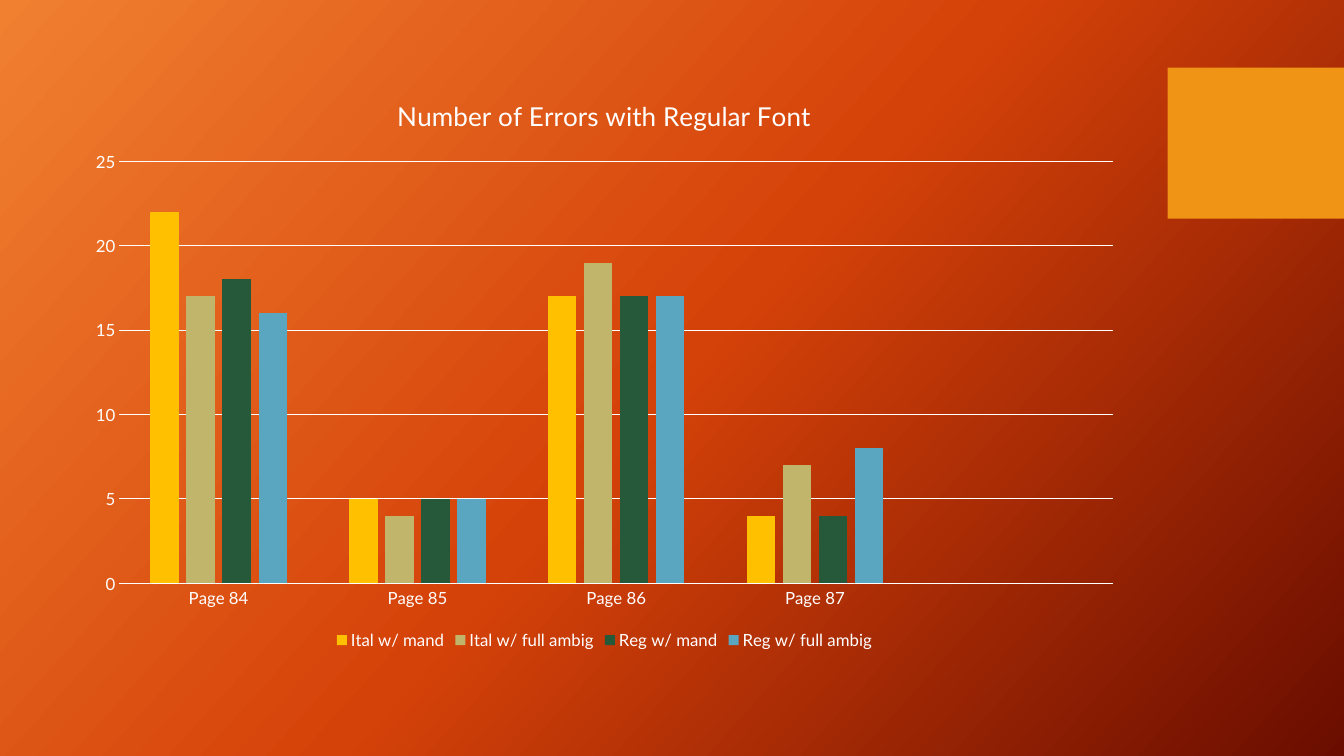
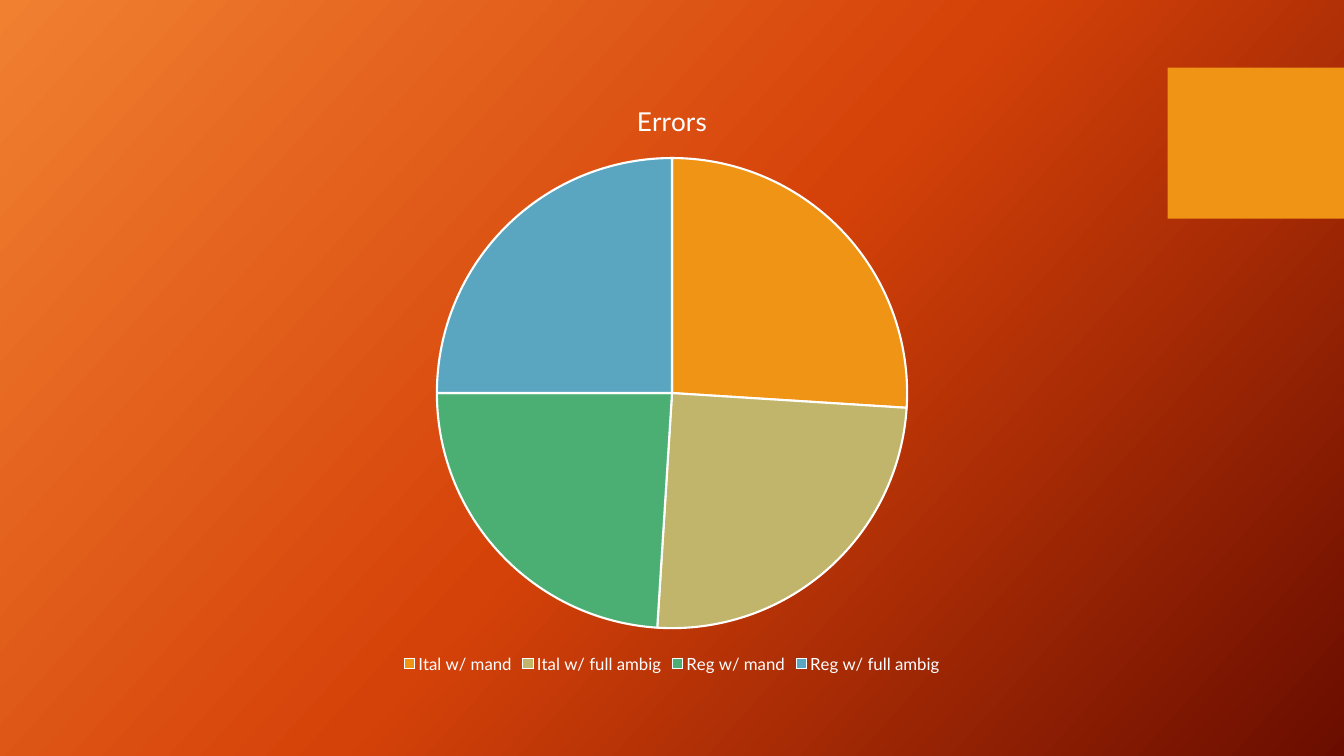
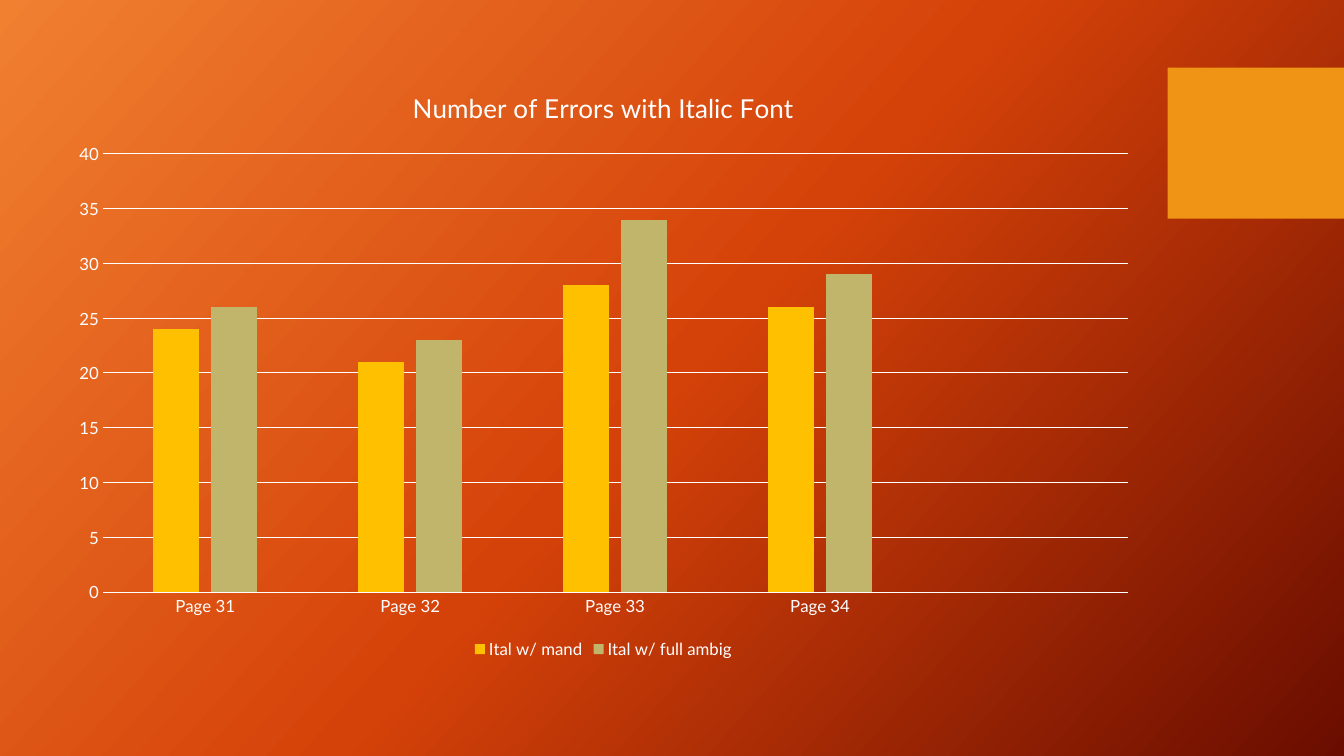
from copy import deepcopy

from pptx import Presentation
from pptx.chart.data import CategoryChartData
from pptx.dml.color import RGBColor
from pptx.enum.chart import XL_CHART_TYPE, XL_LEGEND_POSITION, XL_TICK_MARK
from pptx.enum.shapes import MSO_SHAPE
from pptx.oxml.ns import qn
from pptx.util import Inches, Pt

FONT = "Lato"
WHITE = "FFFFFF"
ORANGE = "F09415"
AMBER = "FFC000"
SAND = "C1B56B"
FOREST = "26583A"
GREEN = "4BAF73"
BLUE = "5AA6C0"
BACKDROP = [(0, "F18031"), (0.5, "D54209"), (1, "6A0D00")]
BACKDROP_ANGLE = 42
CONDITIONS = ["Ital w/ mand", "Ital w/ full ambig", "Reg w/ mand", "Reg w/ full ambig"]
COLUMN_COLORS = [AMBER, SAND, FOREST, BLUE]
PIE_COLORS = [ORANGE, SAND, GREEN, BLUE]


def color(value):
    """Turn a hex string into a colour."""
    return RGBColor.from_string(value)


def set_format(target, values):
    """Set attributes from a dict of format values."""
    for name, value in values.items():
        setattr(target, name, value)


def set_font(font, size):
    """Give a font the shared face and colour at a point size."""
    set_format(font, {"name": FONT, "size": Pt(size), "bold": False})
    font.color.rgb = color(WHITE)


def set_fill(fill, value):
    """Fill with one solid colour."""
    fill.solid()
    fill.fore_color.rgb = color(value)


def set_line(line, width):
    """Draw a white line of a given point width."""
    set_fill(line.fill, WHITE)
    line.width = Pt(width)


def style_master(master):
    """Give every page the diagonal gradient."""
    fill = master.background.fill
    fill.gradient()
    fill.gradient_angle = 360 - BACKDROP_ANGLE
    first = next(master.element.iter(qn("a:gs")))
    first.addnext(deepcopy(first))
    for stop, (position, value) in zip(fill.gradient_stops, BACKDROP):
        stop.position = position
        stop.color.rgb = color(value)


def add_page(deck):
    """Add a blank page with the orange block at the right edge."""
    page = deck.slides.add_slide(deck.slide_layouts[6])
    block = page.shapes.add_shape(
        MSO_SHAPE.RECTANGLE, Inches(11.58), Inches(0.67), Inches(1.75), Inches(1.5))
    block.shadow.inherit = False
    set_fill(block.fill, ORANGE)
    block.line.fill.background()
    return page


def add_chart(page, kind, place, title, categories, series):
    """Add a chart with the shared title, legend and fonts."""
    data = CategoryChartData()
    data.categories = categories
    for name, values in series:
        data.add_series(name, values)
    chart = page.shapes.add_chart(kind, *map(Inches, place), data).chart
    set_font(chart.font, 10)
    chart.has_title = True
    chart.chart_title.include_in_layout = False
    frame = chart.chart_title.text_frame
    frame.text = title
    set_font(frame.paragraphs[0].runs[0].font, 18.6)
    chart.has_legend = True
    set_format(chart.legend, {
        "position": XL_LEGEND_POSITION.BOTTOM, "include_in_layout": False})
    set_font(chart.legend.font, 12)
    return chart


def style_axes(chart):
    """Draw white gridlines and a white base line without ticks."""
    for axis in (chart.category_axis, chart.value_axis):
        set_format(axis, {
            "major_tick_mark": XL_TICK_MARK.NONE, "minor_tick_mark": XL_TICK_MARK.NONE})
        set_font(axis.tick_labels.font, 12)
    set_line(chart.category_axis.format.line, 0.75)
    chart.value_axis.format.line.fill.background()
    set_line(chart.value_axis.major_gridlines.format.line, 0.75)


def add_columns(page, place, title, first_page, rows):
    """Add clustered columns for four book pages and an empty last slot."""
    categories = [f"Page {first_page + step}" for step in range(4)] + [""]
    series = [(name, row + [None]) for name, row in zip(CONDITIONS, rows)]
    chart = add_chart(
        page, XL_CHART_TYPE.COLUMN_CLUSTERED, place, title, categories, series)
    style_axes(chart)
    plot = chart.plots[0]
    set_format(plot, {"gap_width": 219, "overlap": -27, "vary_by_categories": False})
    for columns, value in zip(plot.series, COLUMN_COLORS):
        set_fill(columns.format.fill, value)


def add_pie(page, place, title, values):
    """Add a pie of the conditions with white edges."""
    chart = add_chart(
        page, XL_CHART_TYPE.PIE, place, title, CONDITIONS, [(title, values)])
    chart.plots[0].vary_by_categories = True
    for index, value in enumerate(PIE_COLORS):
        wedge = chart.plots[0].series[0].points[index].format
        set_fill(wedge.fill, value)
        set_line(wedge.line, 1.5)


def main():
    """Build and save the deck."""
    deck = Presentation()
    set_format(deck, {"slide_width": Inches(13.33), "slide_height": Inches(7.5)})
    style_master(deck.slide_master)
    add_columns(
        add_page(deck), (0.74, 0.75, 10.51, 5.74),
        "Number of Errors with Regular Font", 84,
        [[22, 5, 17, 4], [17, 4, 19, 7], [18, 5, 17, 4], [16, 5, 17, 8]])
    add_pie(add_page(deck), (2.22, 0.79, 8.89, 5.93), "Errors", [26, 25, 24, 25])
    add_columns(
        add_page(deck), (0.57, 0.67, 10.83, 5.91),
        "Number of Errors with Italic Font", 31,
        [[24, 21, 28, 26], [26, 23, 34, 29]])
    deck.save("out.pptx")


main()
